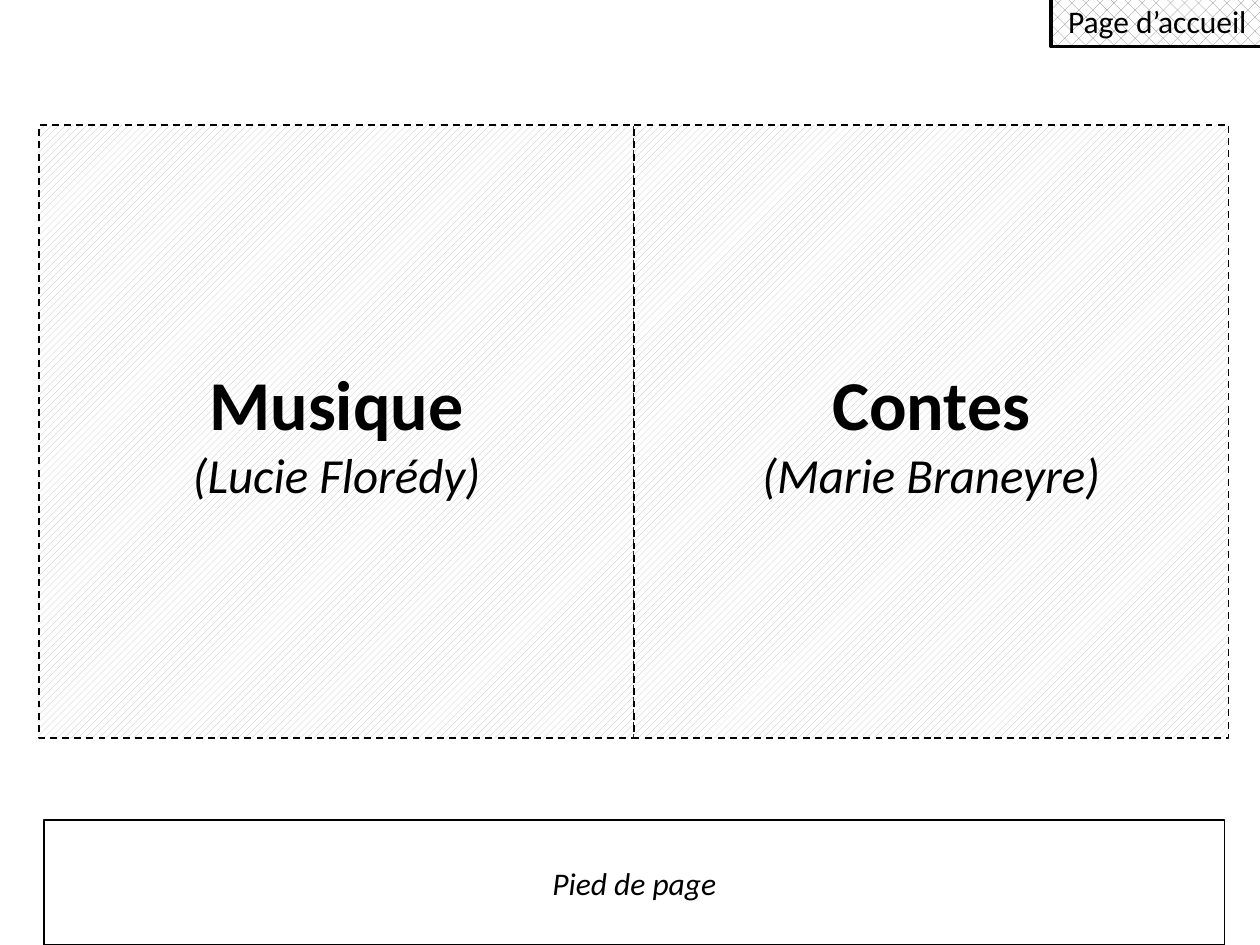
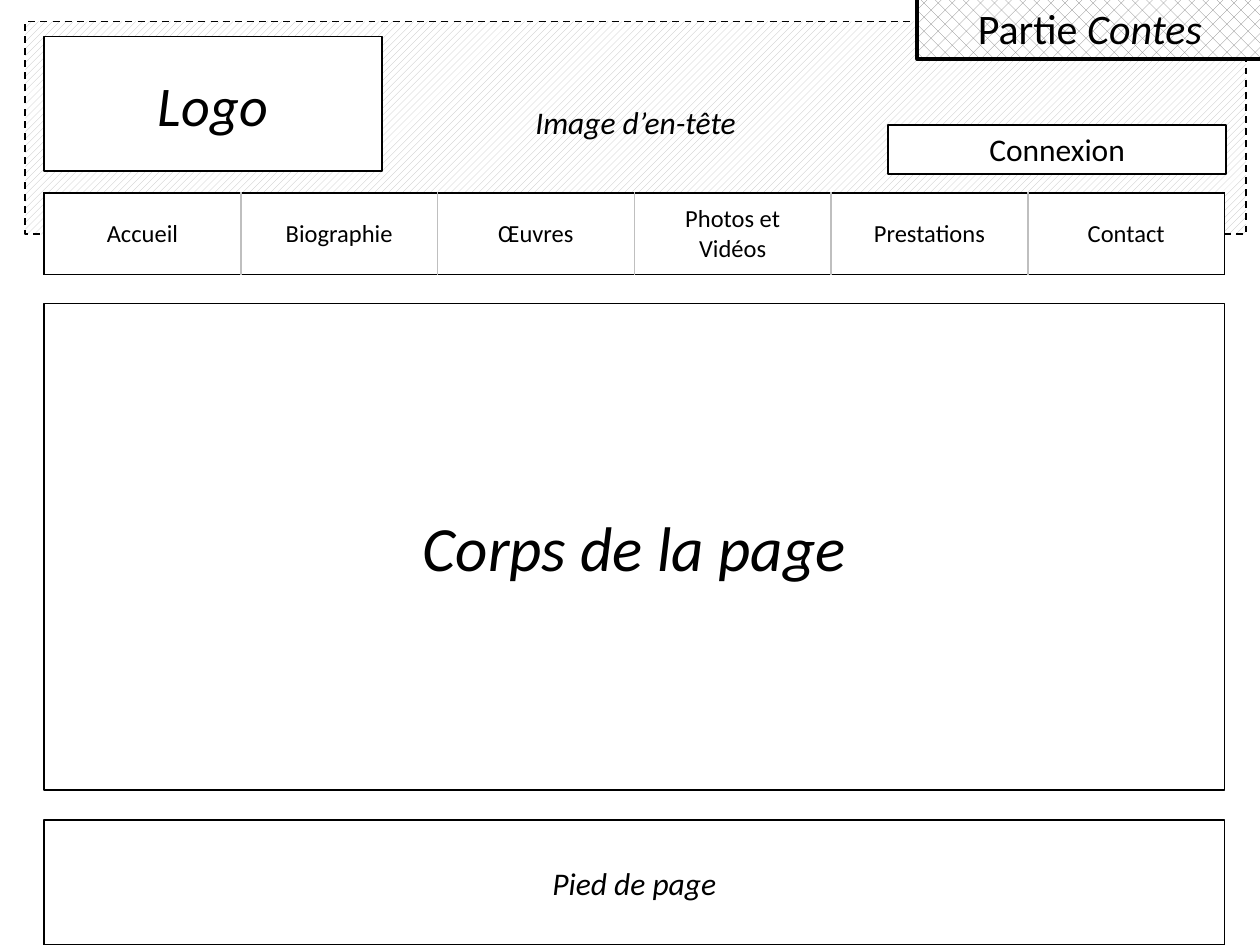
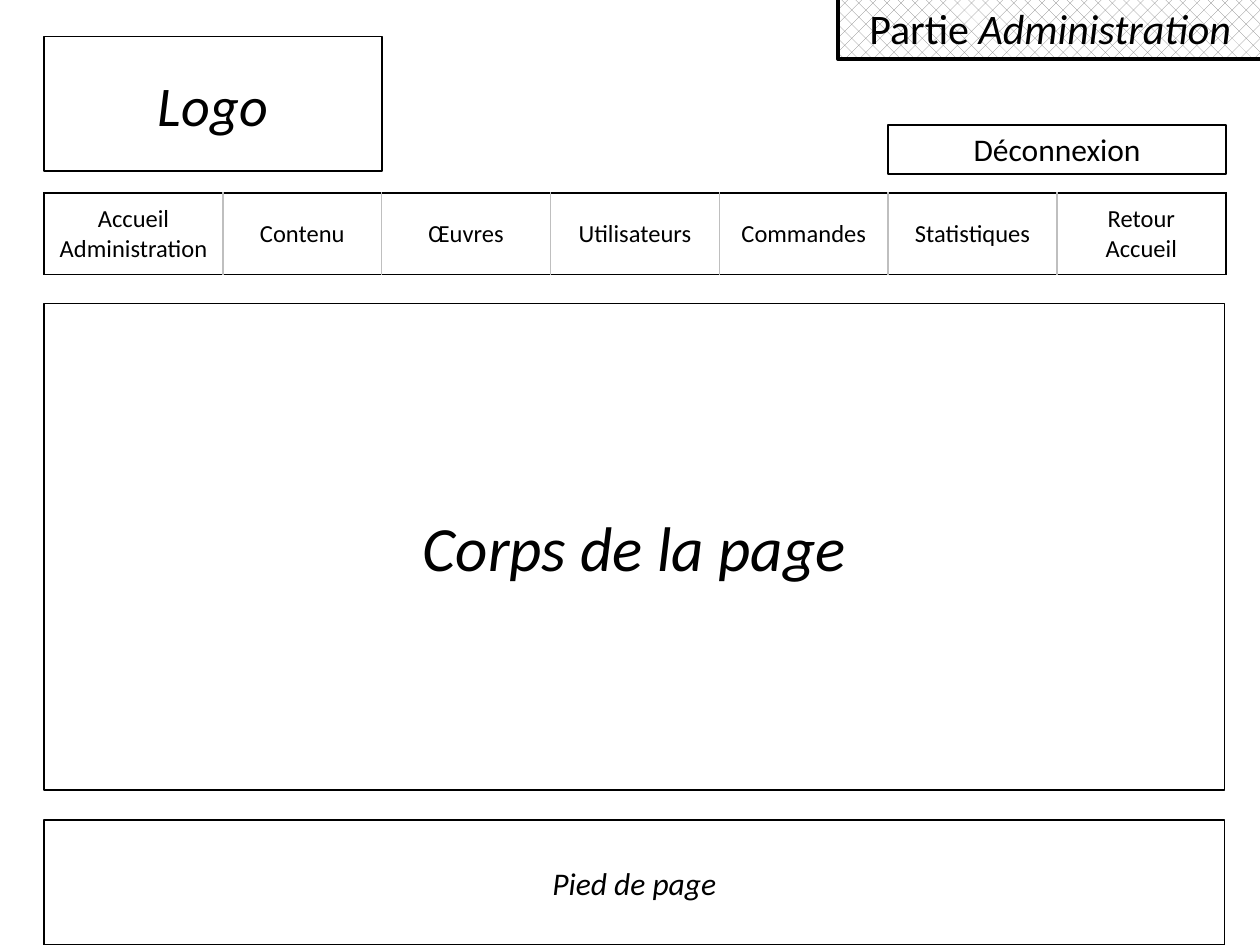
from lxml.etree import SubElement
from pptx import Presentation
from pptx.dml.color import RGBColor
from pptx.enum.dml import MSO_LINE, MSO_PATTERN
from pptx.enum.shapes import MSO_SHAPE
from pptx.enum.text import MSO_ANCHOR, MSO_AUTO_SIZE, PP_ALIGN
from pptx.oxml.ns import qn
from pptx.util import Inches, Pt

FONT = "Calibri"
COLORS = {"ink": "000000", "paper": "FFFFFF", "rule": "BFBFBF", "hatch": "BFBFBF", "mesh": "808080"}
PATTERNS = {
    "hatch": MSO_PATTERN.WIDE_UPWARD_DIAGONAL,
    "mesh": MSO_PATTERN.PERCENT_25,
}
LEFT, WIDTH = 0.35, 9.37
BUTTON_WIDTH = 2.68
MENU_TOP, MENU_HEIGHT = 1.53, 0.65


def color(name):
    return RGBColor.from_string(COLORS[name])


def write(text_frame, paragraphs):
    """Fill a text frame; each paragraph is a list of (text, font values) runs."""
    for index, runs in enumerate(paragraphs):
        paragraph = text_frame.add_paragraph() if index else text_frame.paragraphs[0]
        paragraph.alignment = PP_ALIGN.CENTER
        for text, values in runs:
            run = paragraph.add_run()
            run.text = text
            run.font.color.rgb = color("ink")
            for name, value in {"name": FONT, **values}.items():
                setattr(run.font, name, value)


def add_box(slide, place, paragraphs, pattern=None, line_width=1):
    shape = slide.shapes.add_shape(MSO_SHAPE.RECTANGLE, *(Inches(length) for length in place))
    shape.shadow.inherit = False
    if pattern:
        shape.fill.patterned()
        shape.fill.pattern = PATTERNS[pattern]
        shape.fill.fore_color.rgb = color(pattern)
        shape.fill.back_color.rgb = color("paper")
    else:
        shape.fill.solid()
        shape.fill.fore_color.rgb = color("paper")
    shape.line.color.rgb = color("ink")
    shape.line.width = Pt(line_width)
    shape.text_frame.word_wrap = True
    shape.text_frame.vertical_anchor = MSO_ANCHOR.MIDDLE
    write(shape.text_frame, paragraphs)
    return shape


def add_zone(slide, place, paragraphs):
    """Hatched area with a dashed outline."""
    shape = add_box(slide, place, paragraphs, "hatch")
    shape.line.dash_style = MSO_LINE.DASH
    return shape


def add_page_tab(slide, left, width, height, runs):
    """Label of the page, running off the top right corner."""
    shape = add_box(slide, (left, -0.03, width, height), [runs], "mesh", 2)
    shape.text_frame.auto_size = MSO_AUTO_SIZE.SHAPE_TO_FIT_TEXT


def add_part_tab(slide, left, width, part):
    size = Pt(24)
    runs = [("Partie ", {"size": size}), (part, {"size": size, "italic": True})]
    add_page_tab(slide, left, width, 0.5, runs)


def add_caption_box(slide, place, text, size, italic=True):
    add_box(slide, place, [[(text, {"size": Pt(size), "italic": italic})]])


def add_footer(slide):
    add_caption_box(slide, (LEFT, 6.51, WIDTH, 0.99), "Pied de page", 18)


def add_body(slide):
    add_caption_box(slide, (LEFT, 2.41, WIDTH, 3.86), "Corps de la page", 36)


def add_logo_and_button(slide, button):
    add_caption_box(slide, (7.05, 0.99, BUTTON_WIDTH, 0.39), button, 18, italic=False)
    add_caption_box(slide, (LEFT, 0.29, BUTTON_WIDTH, 1.07), "Logo", 32)


def set_borders(cell, borders):
    """Draw cell borders from pairs of XML tag and colour name, ahead of the fill."""
    properties = cell._tc.get_or_add_tcPr()
    for position, (tag, name) in enumerate(borders.items()):
        line = SubElement(properties, qn(f"a:{tag}"), w=str(Pt(1)))
        fill = SubElement(line, qn("a:solidFill"))
        SubElement(fill, qn("a:srgbClr"), val=COLORS[name])
        properties.insert(position, line)


def add_menu(slide, entries, widths):
    """One-row menu; a line break in an entry starts a new paragraph."""
    frame = slide.shapes.add_table(
        1, len(entries), Inches(LEFT), Inches(MENU_TOP), Inches(WIDTH), Inches(MENU_HEIGHT))
    table = frame.table
    table.first_row = table.horz_banding = False
    table.rows[0].height = Inches(MENU_HEIGHT)
    last = len(entries) - 1
    for index, (entry, width) in enumerate(zip(entries, widths)):
        table.columns[index].width = Inches(width)
        cell = table.cell(0, index)
        cell.fill.solid()
        cell.fill.fore_color.rgb = color("paper")
        cell.vertical_anchor = MSO_ANCHOR.MIDDLE
        write(cell.text_frame, [[(text, {"size": Pt(14)})] for text in entry.split("\n")])
        set_borders(cell, {
            "lnL": "ink" if index == 0 else "rule",
            "lnR": "ink" if index == last else "rule",
            "lnT": "ink",
            "lnB": "ink",
        })


def build_home(slide):
    add_page_tab(slide, 8.34, 1.69, 0.4, [("Page d’accueil", {"size": Pt(18)})])
    zone_width = 4.72
    zones = [("Musique", "(Lucie Florédy)"), ("Contes", "(Marie Braneyre)")]
    for index, (title, person) in enumerate(zones):
        add_zone(slide, (0.31 + index * zone_width, 0.99, zone_width, 4.87), [
            [(title, {"size": Pt(40), "bold": True})],
            [(person, {"size": Pt(28), "italic": True})],
        ])
    add_footer(slide)


def build_tales(slide):
    add_body(slide)
    header = add_zone(slide, (0.2, 0.17, 9.69, 1.69),
                      [[("Image d’en-tête", {"size": Pt(18), "italic": True})]])
    header.text_frame.vertical_anchor = MSO_ANCHOR.TOP
    header.text_frame.margin_top = Inches(0.65)
    entries = ["Accueil", "Biographie", "Œuvres", "Photos et\nVidéos", "Prestations", "Contact"]
    add_menu(slide, entries, [WIDTH / len(entries)] * len(entries))
    add_logo_and_button(slide, "Connexion")
    add_footer(slide)
    add_part_tab(slide, 7.28, 2.74, "Contes")


def build_administration(slide):
    add_body(slide)
    entries = ["Accueil Administration", "Contenu", "Œuvres", "Utilisateurs",
               "Commandes", "Statistiques", "Retour\nAccueil"]
    add_menu(slide, entries, [1.42, 1.26] + [1.34] * 5)
    add_logo_and_button(slide, "Déconnexion")
    add_footer(slide)
    add_part_tab(slide, 6.65, 3.37, "Administration")


def main():
    presentation = Presentation()
    presentation.slide_width = Inches(10)
    presentation.slide_height = Inches(7.5)
    blank = presentation.slide_layouts[6]
    for build in (build_home, build_tales, build_administration):
        build(presentation.slides.add_slide(blank))
    presentation.save("out.pptx")


if __name__ == "__main__":
    main()
